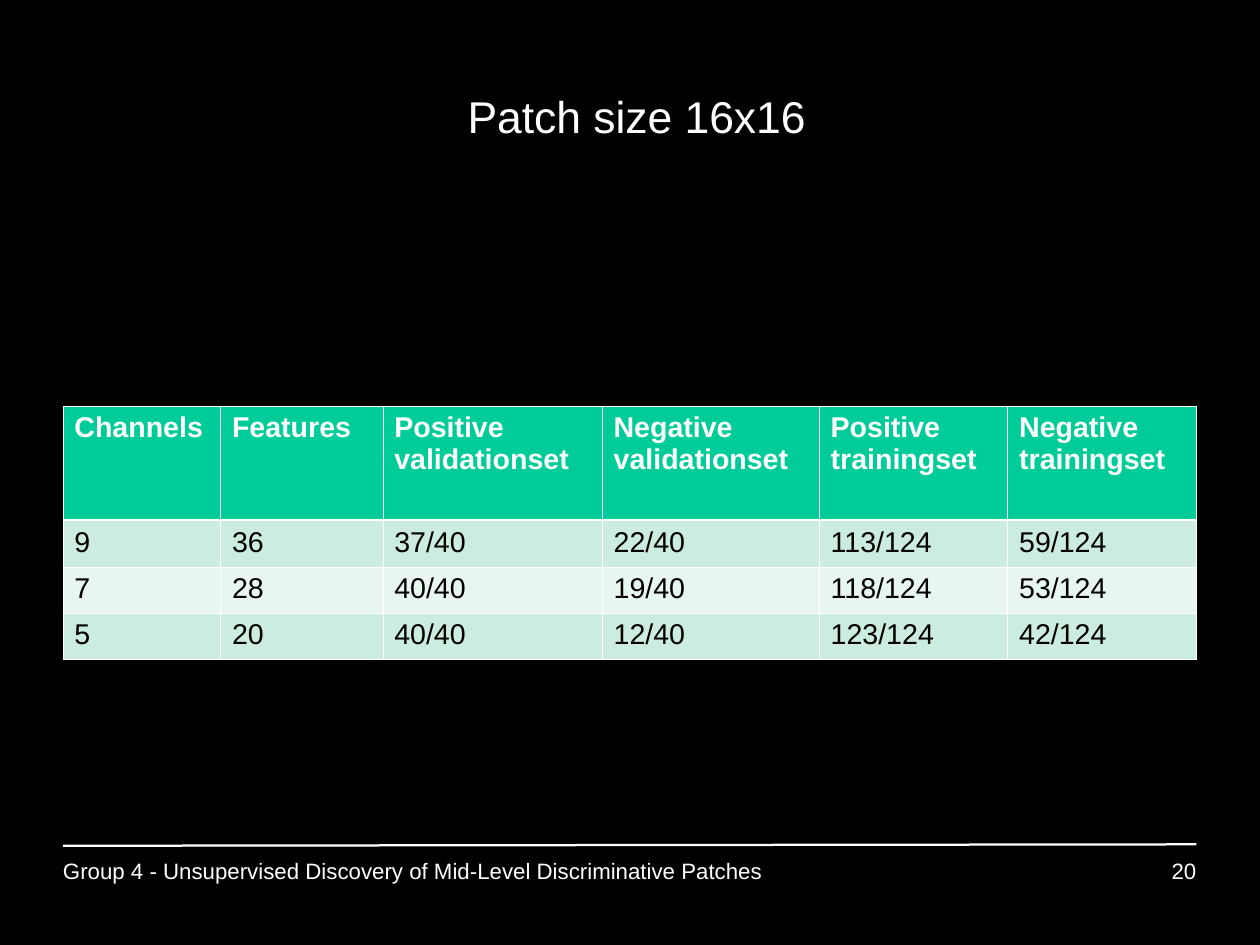
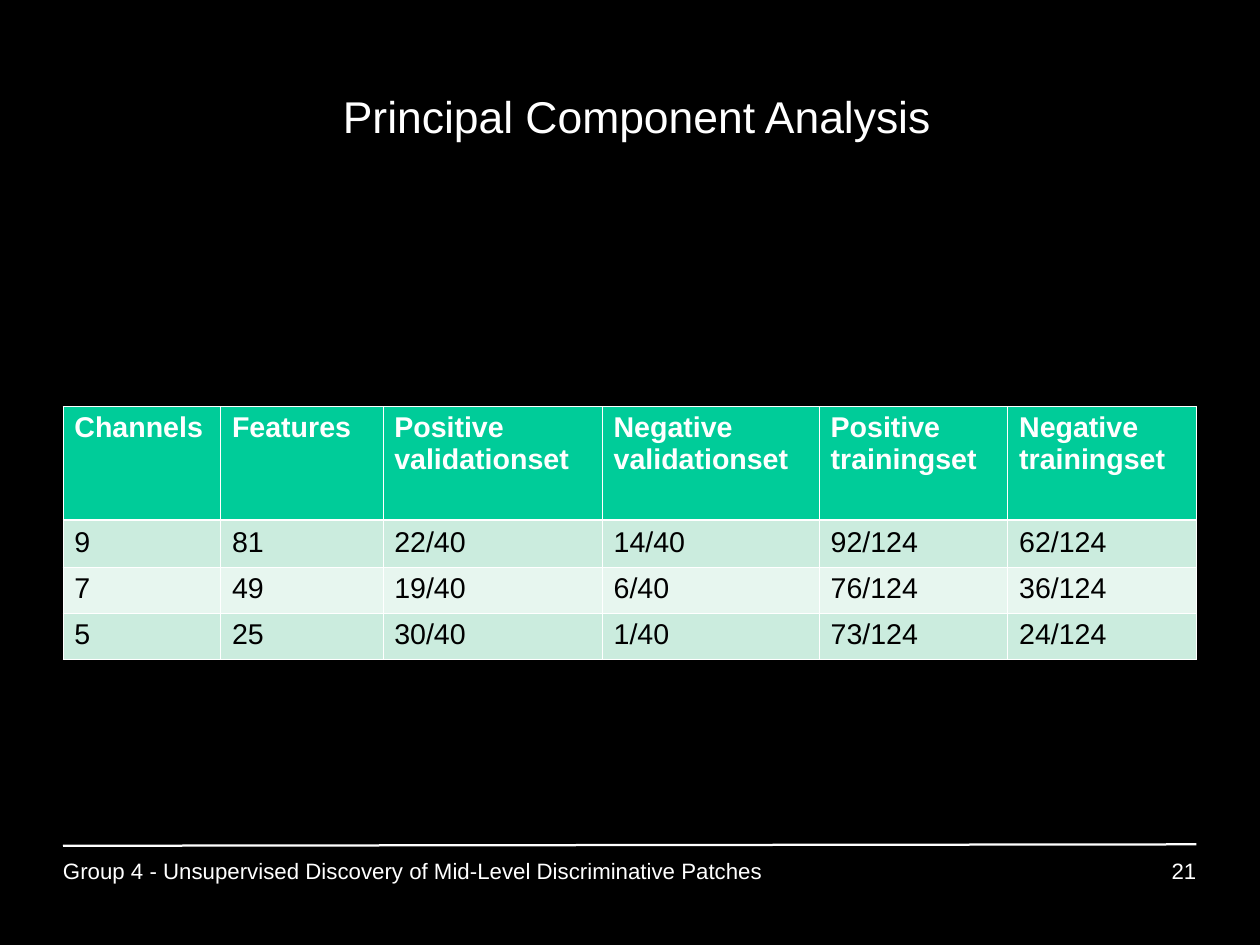
from dataclasses import dataclass

from lxml.etree import SubElement
from pptx import Presentation
from pptx.dml.color import RGBColor as Rgb
from pptx.enum.shapes import MSO_CONNECTOR as Connector
from pptx.enum.text import MSO_ANCHOR as Anchor, PP_ALIGN as Align
from pptx.oxml.ns import qn
from pptx.util import Cm, Inches, Pt


@dataclass(frozen=True)
class Theme:
    """Colours, font, type sizes and line widths shared by the slides."""
    font: str = "Arial"
    ground: str = "000000"
    light: str = "FFFFFF"
    dark: str = "000000"
    header: str = "00CC99"
    bands: tuple = ("CBECDE", "E7F6EF")
    title_size: int = 28
    table_size: int = 18
    footer_size: int = 14
    rule: float = 1.42
    grid_line: float = 0.45
    header_line: float = 1.47


@dataclass(frozen=True)
class Box:
    """A region in percent of the slide's width and height."""
    left: float
    top: float
    width: float
    height: float

    def place(self):
        """Return left, top, width and height as slide lengths."""
        return (across(self.left), down(self.top),
                across(self.width), down(self.height))


THEME = Theme()
WIDTH, HEIGHT = Cm(28), Cm(21)
MARGIN, CONTENT = 5, 89.95
TITLE_BOX = Box(MARGIN, 4, CONTENT, 16.7)
TABLE_BOX = Box(MARGIN, 43, CONTENT, 26.8)
FOOTER_BOX = Box(MARGIN, 89.35, CONTENT, 8.55)

FOOTER_TEXT = "Group 4 - Unsupervised Discovery of Mid-Level Discriminative Patches"
HEADINGS = ("Channels", "Features", "Positive validationset",
            "Negative validationset", "Positive\ntrainingset",
            "Negative\ntrainingset")
COLUMN_WEIGHTS = (1.38, 1.42, 1.92, 1.9, 1.65, 1.65)
ROW_WEIGHTS = (1, 0.41, 0.4, 0.41)
RESULTS = (
    (20, "Patch size 16x16", (
        ("9", "36", "37/40", "22/40", "113/124", "59/124"),
        ("7", "28", "40/40", "19/40", "118/124", "53/124"),
        ("5", "20", "40/40", "12/40", "123/124", "42/124"))),
    (21, "Principal Component Analysis", (
        ("9", "81", "22/40", "14/40", "92/124", "62/124"),
        ("7", "49", "19/40", "6/40", "76/124", "36/124"),
        ("5", "25", "30/40", "1/40", "73/124", "24/124"))),
)


def across(percent):
    """Turn a percentage of the slide's width into a length."""
    return round(WIDTH * percent / 100)


def down(percent):
    """Turn a percentage of the slide's height into a length."""
    return round(HEIGHT * percent / 100)


def style(paragraph, size, color, bold=False):
    """Set the font of a whole paragraph."""
    font = paragraph.font
    font.name, font.size, font.bold = THEME.font, Pt(size), bold
    font.color.rgb = Rgb.from_string(color)


def add_text(slide, box, text, size, align=Align.LEFT, anchor=Anchor.TOP):
    """Place one line of light text in a box and return its frame."""
    frame = slide.shapes.add_textbox(*box.place()).text_frame
    frame.word_wrap, frame.vertical_anchor = True, anchor
    frame.margin_left = frame.margin_right = 0
    frame.margin_top = frame.margin_bottom = 0
    line = frame.paragraphs[0]
    line.text, line.alignment, line.line_spacing = text, align, 0.93
    style(line, size, THEME.light)
    return frame


def add_title(slide, box, text):
    """Place the centred slide title."""
    frame = add_text(slide, box, text, THEME.title_size, Align.CENTER, Anchor.MIDDLE)
    frame.margin_top = Inches(0.03)
    frame.paragraphs[0]._p.get_or_add_pPr().set("marL", str(Inches(0.12)))


def add_footer(slide, box, number):
    """Place the rule, the talk's name and the page number."""
    left, top, width, _ = box.place()
    rule = slide.shapes.add_connector(
        Connector.STRAIGHT, left, top + down(0.15), left + width, top)
    rule.line.color.rgb = Rgb.from_string(THEME.light)
    rule.line.width = Pt(THEME.rule)
    SubElement(rule._element.spPr, qn("a:effectLst"))

    gap, name_width, number_width = 1.65, box.width * 0.68, box.width * 0.26
    text_top, text_height = box.top + gap, box.height - gap
    add_text(slide, Box(box.left, text_top, name_width, text_height),
             FOOTER_TEXT, THEME.footer_size)
    add_text(slide, Box(box.left + box.width - number_width, text_top,
                        number_width, text_height),
             str(number), THEME.footer_size, Align.RIGHT)


def add_borders(cell, top, bottom):
    """Draw the four light borders of a cell."""
    sides = {"L": THEME.grid_line, "R": THEME.grid_line, "T": top, "B": bottom}
    properties = cell._tc.get_or_add_tcPr()
    for side, width in sides.items():
        line = SubElement(properties, qn(f"a:ln{side}"), w=str(Pt(width)))
        fill = SubElement(line, qn("a:solidFill"))
        SubElement(fill, qn("a:srgbClr"), val=THEME.light)


def fill_cell(cell, text, row):
    """Write and colour one cell according to its row."""
    heading = row == 0
    cell.text = text
    for paragraph in cell.text_frame.paragraphs:
        style(paragraph, THEME.table_size,
              THEME.light if heading else THEME.dark, heading)
    add_borders(cell,
                THEME.header_line if row == 1 else THEME.grid_line,
                THEME.header_line if heading else THEME.grid_line)
    cell.fill.solid()
    cell.fill.fore_color.rgb = Rgb.from_string(
        THEME.header if heading else THEME.bands[(row - 1) % 2])


def add_results(slide, box, scores):
    """Place the table of scores under its headings."""
    rows = (HEADINGS, *scores)
    left, top, width, height = box.place()
    table = slide.shapes.add_table(
        len(rows), len(HEADINGS), left, top, width, height).table
    for column, weight in zip(table.columns, COLUMN_WEIGHTS):
        column.width = round(width * weight / sum(COLUMN_WEIGHTS))
    for row, weight in zip(table.rows, ROW_WEIGHTS):
        row.height = round(height * weight / sum(ROW_WEIGHTS))
    for r, texts in enumerate(rows):
        for c, text in enumerate(texts):
            fill_cell(table.cell(r, c), text, r)


def add_result_slide(deck, number, title, scores):
    """Build one slide with title, table and footer."""
    slide = deck.slides.add_slide(deck.slide_layouts[6])
    slide.background.fill.solid()
    slide.background.fill.fore_color.rgb = Rgb.from_string(THEME.ground)
    add_footer(slide, FOOTER_BOX, number)
    add_title(slide, TITLE_BOX, title)
    add_results(slide, TABLE_BOX, scores)


def main():
    """Build and save the deck."""
    deck = Presentation()
    deck.slide_width, deck.slide_height = WIDTH, HEIGHT
    for number, title, scores in RESULTS:
        add_result_slide(deck, number, title, scores)
    deck.save("out.pptx")


if __name__ == "__main__":
    main()
